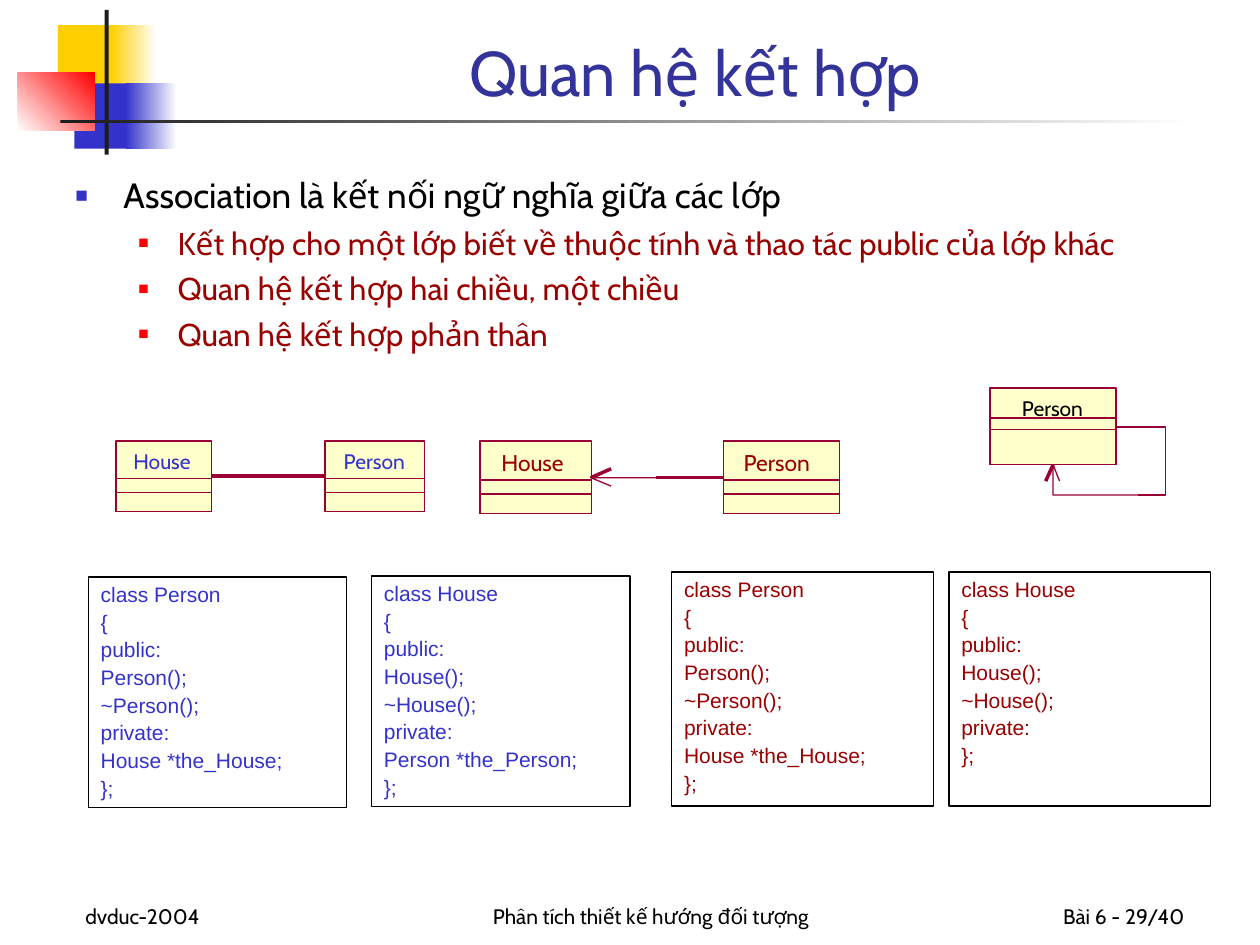
from lxml.etree import SubElement
from pptx import Presentation
from pptx.dml.color import RGBColor
from pptx.enum.shapes import MSO_CONNECTOR, MSO_SHAPE
from pptx.enum.text import MSO_ANCHOR, PP_ALIGN
from pptx.oxml.ns import qn
from pptx.util import Cm, Pt

hue = RGBColor.from_string

deck = Presentation()
deck.slide_width, deck.slide_height = Cm(25.4), Cm(19.05)
slide = deck.slides.add_slide(deck.slide_layouts[6])
shapes = slide.shapes


def box(place, fill=None, line=None, width=0):
    """Add a rectangle; a pair of fill colours makes a gradient."""
    rect = shapes.add_shape(MSO_SHAPE.RECTANGLE, *map(Cm, place))
    rect.shadow.inherit = False
    if isinstance(fill, tuple):
        rect.fill.gradient()
        rect.fill.gradient_angle = 0
        for stop, tone in zip(rect.fill.gradient_stops, fill):
            stop.color.rgb = hue(tone)
    elif fill:
        rect.fill.solid()
        rect.fill.fore_color.rgb = hue(fill)
    else:
        rect.fill.background()
    if line:
        rect.line.color.rgb = hue(line)
        rect.line.width = Pt(width)
    else:
        rect.line.fill.background()
    return rect


def write(shape, lines, size, tone, face="Cabin", frame=None, para=None):
    """Fill a shape with paragraphs and return them."""
    text = shape.text_frame
    look = {"word_wrap": True, "vertical_anchor": MSO_ANCHOR.TOP, **(frame or {})}
    for key, value in look.items():
        setattr(text, key, value)
    text.text = "\n".join(lines)
    for item in text.paragraphs:
        for key, value in {"alignment": PP_ALIGN.LEFT, **(para or {})}.items():
            setattr(item, key, value)
        font = {"size": Pt(size), "name": face}
        for key, value in font.items():
            setattr(item.font, key, value)
        item.font.color.rgb = hue(tone)
    return text.paragraphs


# Corner blocks and title rule
box((1.17, 0.51, 1.22, 1.32), "FFCF01")
box((2.24, 0.51, 0.91, 1.32), ("FFCF01", "FFFFFF"))
box((1.5, 1.68, 1.17, 1.32), "3333CC")
box((2.54, 1.68, 1.02, 1.32), ("3333CC", "FFFFFF"))
red = box((0.36, 1.47, 1.55, 1.17), ("FFFFFF", "FF0000"))
red.fill.gradient_angle = 45
box((2.11, 0.2, 0.08, 2.92), "1C1C1C")
box((1.22, 2.41, 22.86, 0.08), ("1C1C1C", "FFFFFF"))

# Title and footer
heads = [
    ((1.47, 17.58, 5.28, 1.27), "dvduc-2004", 12, "000000", PP_ALIGN.LEFT),
    ((8.26, 17.58, 9.73, 1.27), "Phân tích thiết kế hướng đối tượng", 12,
     "000000", PP_ALIGN.CENTER),
    ((18.85, 17.58, 5.28, 1.27), "Bài 6 - 29/40", 12, "000000", PP_ALIGN.RIGHT),
    ((3.2, 0.2, 21.64, 2.13), "Quan hệ kết hợp", 36, "333399", PP_ALIGN.CENTER),
]
for place, words, size, tone, side in heads:
    write(shapes.add_textbox(*map(Cm, place)), [words], size, tone,
          frame={"vertical_anchor": MSO_ANCHOR.BOTTOM}, para={"alignment": side})

# Bullet list
points = [
    "Association là kết nối ngữ nghĩa giữa các lớp",
    "Kết hợp cho một lớp biết về thuộc tính và thao tác public của lớp khác",
    "Quan hệ kết hợp hai chiều, một chiều",
    "Quan hệ kết hợp phản thân",
]
top = {"level": 0, "space_before": Pt(5)}
sub = {"level": 1, "space_before": Pt(4.5)}
body = shapes.add_textbox(Cm(1.27), Cm(3.38), Cm(23.6), Cm(13.97))
for rank, item in enumerate(write(body, points, 18, "990000")):
    for key, value in (sub if rank else top).items():
        setattr(item, key, value)
    left, hang, tone, part = (2.06, 0.79, "FF0000", 55) if rank else (0.97, 0.97, "3333CC", 60)
    if not rank:
        item.font.size = Pt(20)
        item.font.color.rgb = hue("000000")
    props = item._p.get_or_add_pPr()
    props.set("marL", str(Cm(left)))
    props.set("indent", str(-Cm(hang)))
    SubElement(SubElement(props, qn("a:buClr")), qn("a:srgbClr"), val=tone)
    SubElement(props, qn("a:buSzPct"), val=str(part * 1000))
    SubElement(props, qn("a:buFont"), typeface="Arial")
    SubElement(props, qn("a:buChar"), char="■")
    # The font defaults must stay behind the bullet marks
    props.append(props.find(qn("a:defRPr")))

# Class boxes: name, place, text left, size, colour, two cuts
label = {"word_wrap": False, "margin_left": 0, "margin_right": 0,
         "margin_top": 0, "margin_bottom": 0}
kinds = [
    ("House", (2.34, 8.89, 1.93, 1.42), 2.69, 12, "3333CC", (0.76, 1.04)),
    ("Person", (6.55, 8.89, 2.01, 1.42), 6.93, 12, "3333CC", (0.76, 1.04)),
    ("Person", (14.58, 8.89, 2.34, 1.47), 14.99, 13, "990000", (0.79, 1.07)),
    ("House", (9.68, 8.89, 2.24, 1.47), 10.11, 13, "990000", (0.79, 1.07)),
    ("Person", (19.96, 7.82, 2.54, 1.55), 20.6, 12, "000000", (0.61, 0.84)),
]
for name, place, start, size, tone, cuts in kinds:
    x, y, w, h = place
    box(place, "FFFFCC", "990033")
    tag = shapes.add_textbox(Cm(start), Cm(y + 0.15), Cm(1.4), Cm(0.53))
    write(tag, [name], size, tone, frame=label)
    for cut in cuts:
        box((x, y + cut, w, h - cut), line="990033")

# Links between classes, with open arrowheads
links = [
    [(5.41, 9.6), (6.55, 9.6)],
    [(5.41, 9.6), (4.27, 9.6)],
    [(13.23, 9.63), (11.91, 9.63), (12.32, 9.8)],
    [(11.91, 9.63), (12.32, 9.45)],
    [(13.23, 9.63), (14.58, 9.63)],
    [(22.94, 9.98), (21.23, 9.98), (21.23, 9.37), (21.36, 9.7)],
    [(21.23, 9.37), (21.08, 9.7)],
    [(22.94, 9.98), (23.5, 9.98), (23.5, 8.61), (22.5, 8.61)],
]
for link in links:
    first, *rest = [(Cm(x), Cm(y)) for x, y in link]
    if len(rest) == 1:
        edge = shapes.add_connector(MSO_CONNECTOR.STRAIGHT, *first, *rest[0])
        SubElement(edge._element.spPr, qn("a:effectLst"))
    else:
        pen = shapes.build_freeform(*first)
        pen.add_line_segments(rest, close=False)
        edge = pen.convert_to_shape()
        edge.fill.background()
        edge.shadow.inherit = False
    edge.line.color.rgb = hue("990033")
    edge.line.width = 0

# Code boxes: place, class, linked class, colour
codes = [
    ((1.78, 11.63, 5.21, 4.65), "Person", "House", "3333CC"),
    ((7.49, 11.61, 5.21, 4.65), "House", "Person", "3333CC"),
    ((13.54, 11.53, 5.28, 4.72), "Person", "House", "990000"),
    ((19.13, 11.53, 5.28, 4.72), "House", None, "990000"),
]
tight = {"line_spacing": 0.96, "space_before": Pt(1), "space_after": Pt(1)}
for place, name, peer, tone in codes:
    lines = [f"class {name}", "{", "public:", f"{name}();", f"~{name}();", "private:"]
    if peer:
        lines.append(f"{peer} *the_{peer};")
    write(box(place, "FFFFFF", "000000", 0.75), lines + ["};"], 12, tone,
          face="Arial", para=tight)

deck.save("out.pptx")
